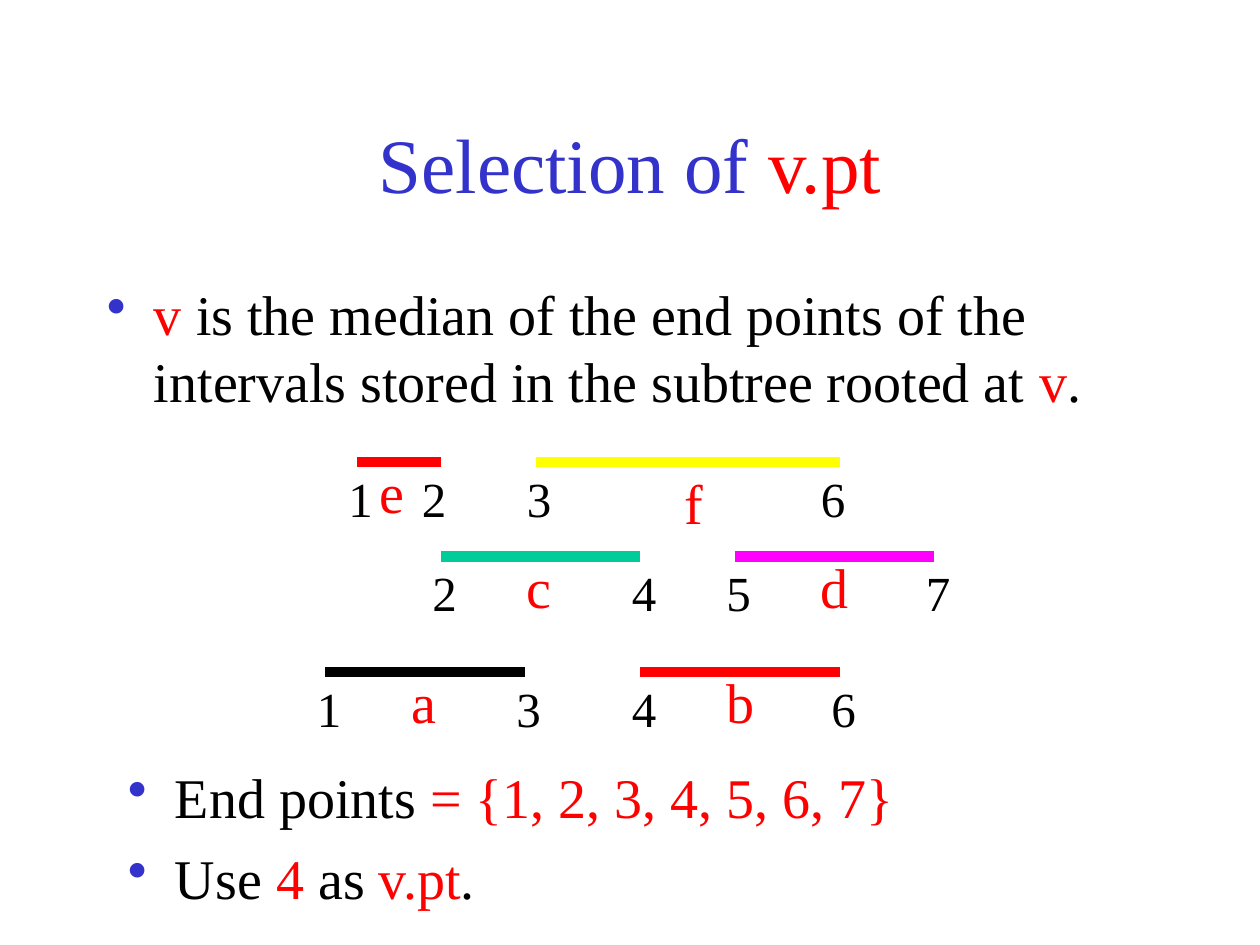
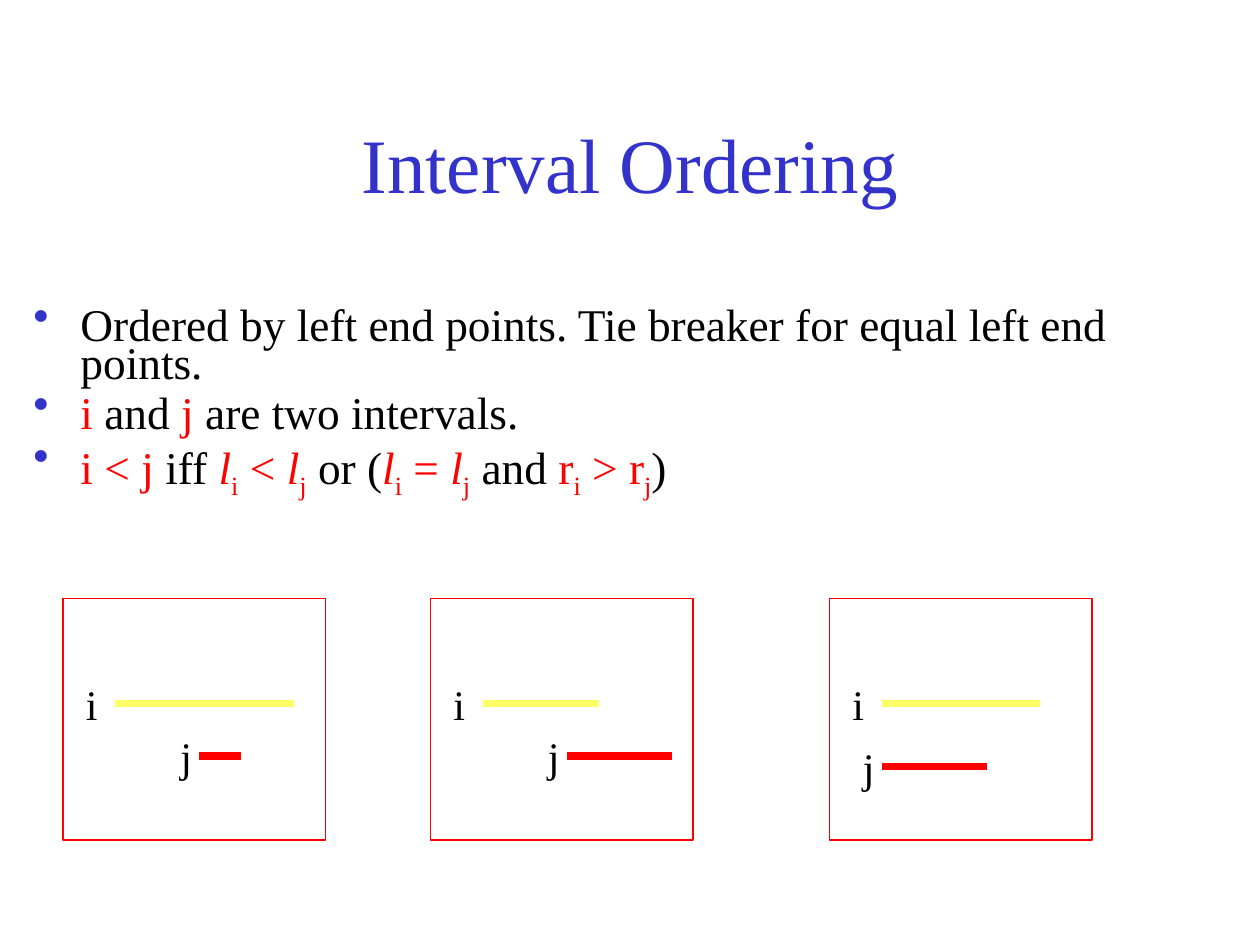
from lxml.etree import SubElement
from pptx import Presentation
from pptx.dml.color import RGBColor
from pptx.enum.shapes import MSO_CONNECTOR, MSO_SHAPE
from pptx.enum.text import MSO_ANCHOR, PP_ALIGN
from pptx.oxml.ns import qn
from pptx.util import Cm, Pt

FONT = "Times New Roman"
BLUE = RGBColor(0x33, 0x33, 0xCC)
RED = RGBColor(0xFF, 0x00, 0x00)
BLACK = RGBColor(0x00, 0x00, 0x00)
YELLOW = RGBColor(0xFF, 0xFF, 0x00)
PALE_YELLOW = RGBColor(0xFF, 0xFF, 0x66)
GREEN = RGBColor(0x00, 0xCC, 0x99)
MAGENTA = RGBColor(0xFF, 0x00, 0xFF)
STEP = Cm(2.54) // 12


def write(box, paragraphs, size, bullet=False, before=0, spacing=None):
    frame = box.text_frame
    frame.word_wrap = True
    for index, spans in enumerate(paragraphs):
        para = frame.add_paragraph() if index else frame.paragraphs[0]
        if bullet:
            props = para._p.get_or_add_pPr()
            props.set("marL", str(Cm(0.95)))
            props.set("indent", str(-Cm(0.95)))
            tint = SubElement(props, qn("a:buClr"))
            SubElement(tint, qn("a:srgbClr")).set("val", str(BLUE))
            SubElement(props, qn("a:buChar")).set("char", "•")
            para.space_before = Pt(before)
        if spacing:
            para.line_spacing = spacing
        para.font.name = FONT
        para.font.size = Pt(size)
        for text, colour, *style in spans:
            span = para.add_run()
            span.text = text
            span.font.color.rgb = colour
            if "italic" in style:
                span.font.italic = True
            if "sub" in style:
                span._r.get_or_add_rPr().set("baseline", "-25000")


def draw_interval(page, left, right, top, colour, width):
    line = page.shapes.add_connector(
        MSO_CONNECTOR.STRAIGHT, left * STEP, top * STEP, right * STEP, top * STEP)
    line.line.color.rgb = colour
    line.line.width = Pt(width)
    SubElement(line._element.spPr, qn("a:effectLst"))


deck = Presentation()
deck.slide_width = Cm(25.4)
deck.slide_height = Cm(19.05)

pages = []
for title_spans in (
    [("Selection of ", BLUE), ("v.pt", RED)],
    [("Interval Ordering", BLUE)],
):
    page = deck.slides.add_slide(deck.slide_layouts[5])
    title = page.shapes.title
    title.left, title.top, title.width, title.height = (n * STEP for n in (9, 8, 102, 15))
    title.text_frame.vertical_anchor = MSO_ANCHOR.MIDDLE
    write(title, [title_spans], 44)
    title.text_frame.paragraphs[0].alignment = PP_ALIGN.CENTER
    pages.append(page)
selection, ordering = pages

median = [
    [("v", RED),
     (" is the median of the end points of the intervals stored in the subtree rooted at ", BLACK),
     ("v", RED), (".", BLACK)],
]
choice = [
    [("End points", BLACK), (" = {1, 2, 3, 4, 5, 6, 7}", RED)],
    [("Use ", BLACK), ("4 ", RED), ("as", BLACK), (" v.pt", RED), (".", BLACK)],
]
rules = [
    [("Ordered by left end points. Tie breaker for equal left end points.", BLACK)],
    [("i", RED), (" and ", BLACK), ("j ", RED), ("are two intervals.", BLACK)],
    [("i < j", RED), (" iff ", BLACK),
     ("l", RED, "italic"), ("i", RED, "sub"), (" < ", RED),
     ("l", RED, "italic"), ("j", RED, "sub"), (" or (", BLACK),
     ("l", RED, "italic"), ("i", RED, "sub"), (" = ", RED),
     ("l", RED, "italic"), ("j", RED, "sub"), (" and ", BLACK),
     ("r", RED), ("i", RED, "sub"), (" > r", RED), ("j", RED, "sub"), (")", BLACK)],
]
for page, place, paragraphs, size, before, spacing in (
    (selection, (9, 26, 102, 15), median, 32, 8, None),
    (selection, (11, 72, 102, 15), choice, 32, 8, None),
    (ordering, (2, 29, 114, 19), rules, 25.9, 7, 0.7),
):
    box = page.shapes.add_textbox(*(n * STEP for n in place))
    write(box, paragraphs, size, True, before, spacing)

intervals = [
    ("e", "1", "2", 34, 42, 44, RED, 35, 43, 39),
    ("f", "3", "6", 51, 80, 44, YELLOW, 64, 44, 77),
    ("c", "2", "4", 42, 61, 53, GREEN, 49, 52, 59),
    ("d", "5", "7", 70, 89, 53, MAGENTA, 77, 52, 87),
    ("a", "1", "3", 31, 50, 64, BLACK, 38, 63, 48),
    ("b", "4", "6", 61, 80, 64, RED, 68, 63, 78),
]
for name, first, last, left, right, top, colour, name_left, name_top, last_left in intervals:
    draw_interval(selection, left, right, top, colour, 6)
    for text, x, y, size, ink in (
        (first, left - 2, top, 28, BLACK),
        (last, last_left, top, 28, BLACK),
        (name, name_left, name_top, 32, RED),
    ):
        label = selection.shapes.add_textbox(x * STEP, y * STEP, 5 * STEP, 7 * STEP)
        write(label, [[(text, ink)]], size)

cases = [
    (6, (11, 28, 67), (19, 23, 72)),
    (41, (46, 57, 67), (54, 64, 72)),
    (79, (84, 99, 67), (84, 94, 73)),
]
for frame_left, i_span, j_span in cases:
    for name, (left, right, top), gap, colour in (
        ("i", i_span, 4, PALE_YELLOW),
        ("j", j_span, 3, RED),
    ):
        draw_interval(ordering, left, right, top, colour, 4.5)
        label = ordering.shapes.add_textbox(
            (left - gap) * STEP, (top - 3) * STEP, 4 * STEP, 6 * STEP)
        write(label, [[(name, BLACK)]], 24)
    case = ordering.shapes.add_shape(
        MSO_SHAPE.RECTANGLE, frame_left * STEP, 57 * STEP, 25 * STEP, 23 * STEP)
    case.shadow.inherit = False
    case.fill.background()
    case.line.color.rgb = RED
    case.line.width = Pt(0.75)

deck.save("out.pptx")
